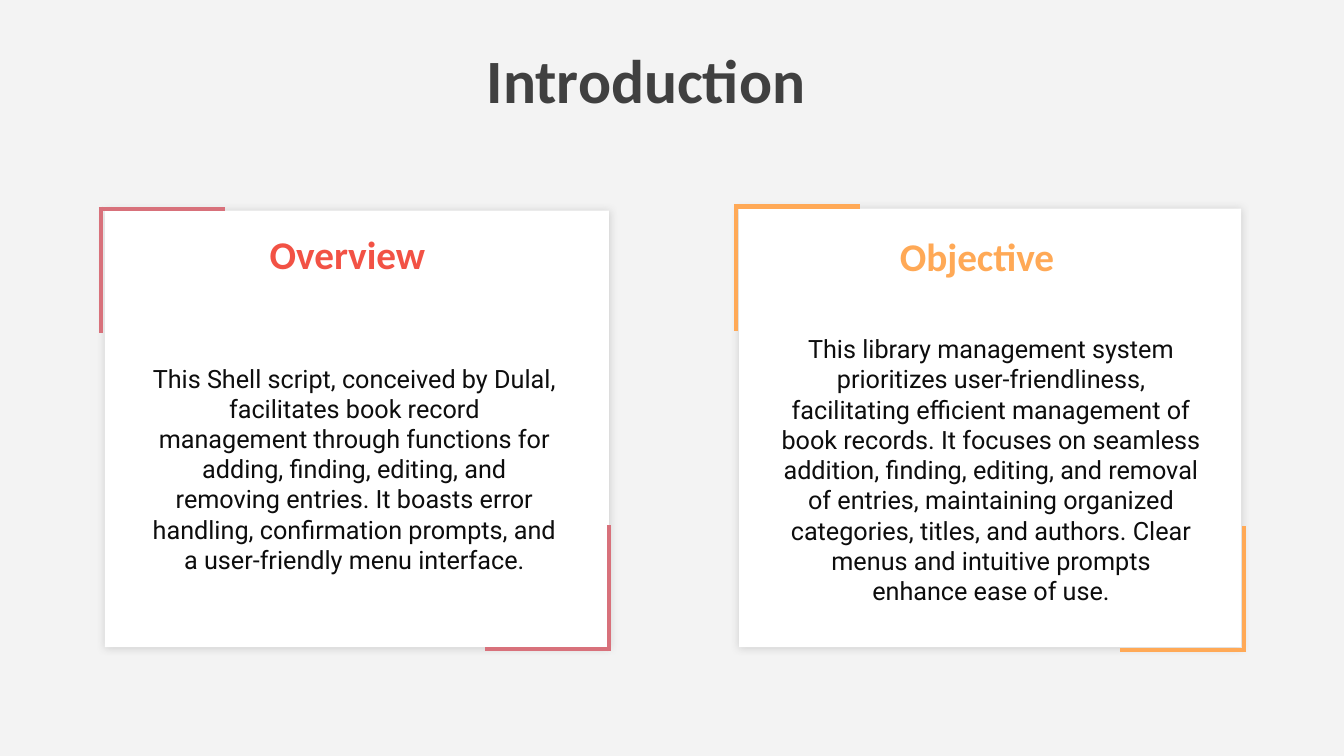
"""Build the introduction slide with two framed text cards."""
from lxml import etree
from pptx import Presentation
from pptx.dml.color import RGBColor
from pptx.enum import shapes, text
from pptx.oxml import ns
from pptx.util import Inches, Pt

COLORS = {
    "background": "F3F3F3", "card": "FFFFFF", "title": "404040", "body": "0D0D0D",
    "shadow": "404040", "overview": "F25245", "overview_frame": "D8717B",
    "objective": "FFA956",
}
TITLE = ("Introduction", (4.01, 0.37, 4.8, 0.84))
CARDS = [
    {
        "box": (1.04, 2.09, 5, 4.33), "frame": (1, 2.07, 6.04, 6.44),
        "heading": "Overview", "heading_box": (1.24, 2.24, 4.41, 0.57),
        "body": "This Shell script, conceived by Dulal, facilitates book record "
                "management through functions for adding, finding, editing, and "
                "removing entries. It boasts error handling, confirmation prompts, "
                "and a user-friendly menu interface.",
        "body_box": (1.41, 3.55, 4.21, 1.92),
        "heading_color": "overview", "frame_color": "overview_frame",
    },
    {
        "box": (7.33, 2.07, 4.98, 4.35), "frame": (7.3, 2.05, 12.34, 6.45),
        "heading": "Objective", "heading_box": (7.49, 2.26, 4.4, 0.57),
        "body": "This library management system prioritizes user-friendliness, "
                "facilitating efficient management of book records. It focuses on "
                "seamless addition, finding, editing, and removal of entries, "
                "maintaining organized categories, titles, and authors. Clear menus "
                "and intuitive prompts enhance ease of use.",
        "body_box": (7.65, 3.26, 4.36, 2.52),
        "heading_color": "objective", "frame_color": "objective",
    },
]
ARM = 1.23
OVERHANG = 0.02


def color(name):
    """Return a named colour."""
    return RGBColor.from_string(COLORS[name])


def lengths(values):
    """Convert numbers to inches."""
    return [Inches(value) for value in values]


def add_text(container, words, box, font, size, color_name, bold=False):
    """Add one centred paragraph."""
    frame = container.add_textbox(*lengths(box)).text_frame
    frame.word_wrap = True
    frame.auto_size = text.MSO_AUTO_SIZE.SHAPE_TO_FIT_TEXT
    paragraph = frame.paragraphs[0]
    paragraph.alignment = text.PP_ALIGN.CENTER
    run = paragraph.add_run()
    run.text = words
    run.font.name = font
    run.font.size = Pt(size)
    run.font.bold = bold
    run.font.color.rgb = color(color_name)


def add_panel(slide, box):
    """Add a white rectangle with a soft shadow."""
    panel = slide.shapes.add_shape(shapes.MSO_SHAPE.RECTANGLE, *lengths(box))
    panel.fill.solid()
    panel.fill.fore_color.rgb = color("card")
    panel.line.fill.background()
    panel.shadow.inherit = False
    effects = panel._element.spPr.find(ns.qn("a:effectLst"))
    shadow = etree.SubElement(effects, ns.qn("a:outerShdw"), blurRad=str(Pt(6)),
                              dist="0", dir="0", algn="ctr", rotWithShape="0")
    tint = etree.SubElement(shadow, ns.qn("a:srgbClr"), val=COLORS["shadow"])
    etree.SubElement(tint, ns.qn("a:alpha"), val="20000")


def add_line(slide, ends, color_name):
    """Add one straight frame line."""
    line = slide.shapes.add_connector(shapes.MSO_CONNECTOR.STRAIGHT, *lengths(ends))
    line.line.color.rgb = color(color_name)
    line.line.width = Pt(3)
    etree.SubElement(line._element.spPr, ns.qn("a:effectLst"))


def add_corners(slide, frame, color_name):
    """Mark the top left and bottom right corners."""
    left, top, right, bottom = frame
    for x, y, inward in ((left, top, 1), (right, bottom, -1)):
        start, end = -OVERHANG * inward, ARM * inward
        add_line(slide, (x, y + start, x, y + end), color_name)
        add_line(slide, (x + start, y, x + end, y), color_name)


def main():
    """Build and save the slide."""
    presentation = Presentation()
    presentation.slide_width = Inches(13.33)
    presentation.slide_height = Inches(7.5)
    slide = presentation.slides.add_slide(presentation.slide_layouts[6])
    slide.background.fill.solid()
    slide.background.fill.fore_color.rgb = color("background")
    for card in CARDS:
        add_panel(slide, card["box"])
        group = slide.shapes.add_group_shape().shapes
        add_text(group, card["body"], card["body_box"], "Roboto", 18, "body")
        add_text(group, card["heading"], card["heading_box"], "Calibri", 28,
                 card["heading_color"], True)
        add_corners(slide, card["frame"], card["frame_color"])
    add_text(slide.shapes, *TITLE, "Calibri", 44, "title", True)
    presentation.save("out.pptx")


if __name__ == "__main__":
    main()
